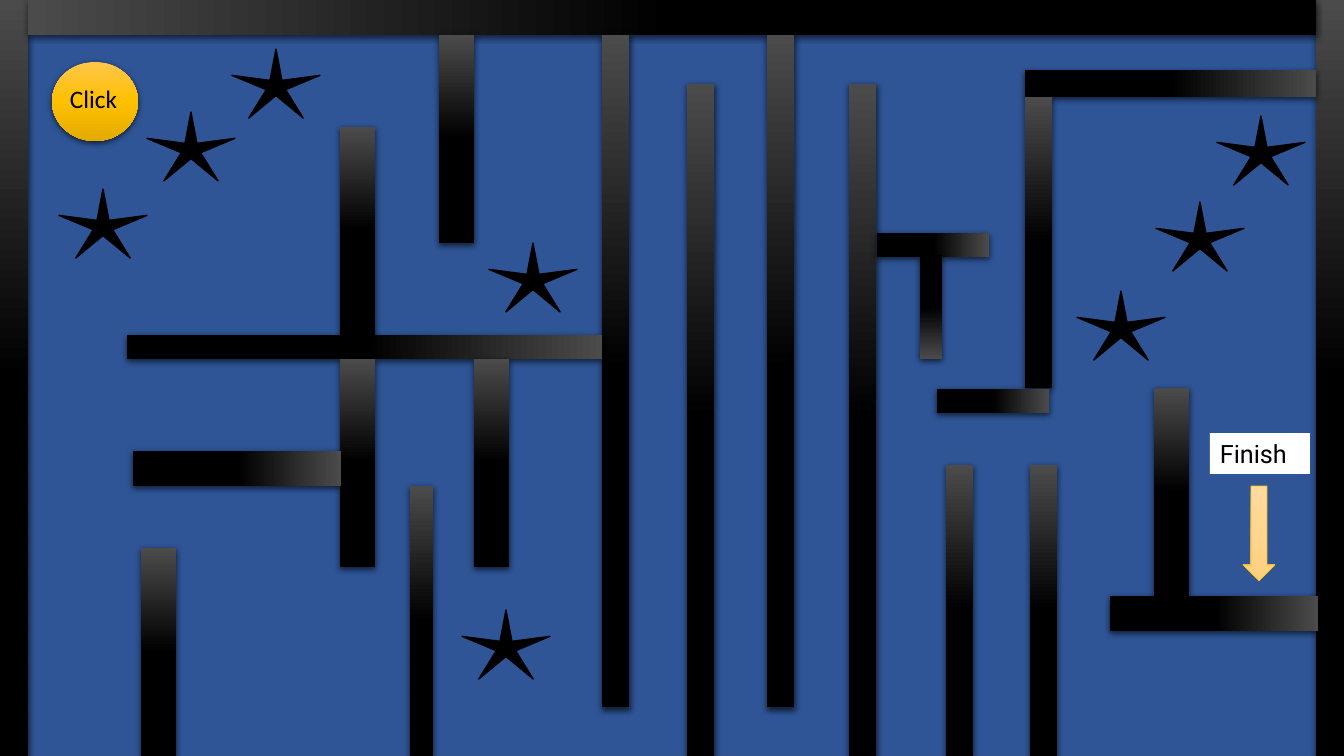
from copy import deepcopy
from typing import NamedTuple

from pptx import Presentation
from pptx import util as u
from pptx.dml.color import RGBColor
from pptx.enum import shapes, text
from pptx.oxml import parse_xml
from pptx.oxml.ns import nsdecls, qn
from pptx.shapes.autoshape import Shape

WIDE, HIGH = 1344, 756
SCALE = 12192000 / WIDE

BLACK = RGBColor(0x00, 0x00, 0x00)
WHITE = RGBColor(0xFF, 0xFF, 0xFF)
FLOOR = RGBColor(0x2F, 0x55, 0x97)
EDGE = RGBColor(0x32, 0x54, 0x91)
GOLD = RGBColor(0xFF, 0xC0, 0x00)
STONE = (RGBColor(0x4B, 0x4B, 0x4B), BLACK, BLACK)
SUN = (RGBColor(0xFF, 0xC6, 0x4B), GOLD, RGBColor(0xE3, 0xAB, 0x00))
SAND = (RGBColor(0xFF, 0xDB, 0x9E), RGBColor(0xFF, 0xD5, 0x90), RGBColor(0xFF, 0xD0, 0x7C))

SHADE = (
    f'<a:effectLst {nsdecls("a")}><a:outerShdw blurRad="57150" dist="19050" dir="5400000" '
    'algn="ctr" rotWithShape="0"><a:srgbClr val="000000"><a:alpha val="63000"/></a:srgbClr>'
    '</a:outerShdw></a:effectLst>'
)


class Box(NamedTuple):
    left: int
    top: int
    width: int
    height: int


class Wall(NamedTuple):
    box: Box
    turn: int = 0


class Label(NamedTuple):
    box: Box
    words: str
    font: str


class Point(NamedTuple):
    left: int
    top: int


LONG, MID, SHORT = (27, 672), (27, 291), (35, 208)
FLAT, STUB = SHORT[::-1], (112, 24)

WALLS = [
    Wall(Box(0, 0, 28, HIGH)),
    Wall(Box(WIDE - 28, 0, 28, HIGH)),
    Wall(Box(28, 0, WIDE - 56, 35), 270),
    Wall(Box(602, 35, *LONG)),
    Wall(Box(687, 84, *LONG)),
    Wall(Box(767, 35, *LONG)),
    Wall(Box(849, 84, *LONG)),
    Wall(Box(1025, 70, *MID[::-1]), 90),
    Wall(Box(1025, 97, *MID)),
    Wall(Box(1030, 465, *MID)),
    Wall(Box(946, 465, *MID)),
    Wall(Box(127, 335, 475, 24), 90),
    Wall(Box(340, 127, *SHORT)),
    Wall(Box(439, 35, *SHORT)),
    Wall(Box(340, 359, *SHORT)),
    Wall(Box(474, 359, *SHORT)),
    Wall(Box(141, 548, *SHORT)),
    Wall(Box(133, 451, *FLAT), 90),
    Wall(Box(410, 486, 23, 270)),
    Wall(Box(1154, 388, *SHORT)),
    Wall(Box(1110, 596, *FLAT), 90),
    Wall(Box(877, 233, *STUB), 90),
    Wall(Box(920, 255, 22, 104), 180),
    Wall(Box(937, 389, *STUB), 90),
]

STARS = [
    Point(232, 49), Point(489, 243), Point(462, 610), Point(1077, 291),
    Point(1156, 202), Point(1217, 116), Point(147, 112), Point(59, 189),
]

START = Label(Box(60, 78, 74, 40), "Click", "Calibri")
FINISH = Label(Box(1210, 433, 100, 41), "Finish", "Roboto")

deck = Presentation()
deck.slide_width = u.Emu(round(WIDE * SCALE))
deck.slide_height = u.Emu(round(HIGH * SCALE))
slide = deck.slides.add_slide(deck.slide_layouts[6])


def to_emu(box: Box) -> list[int]:
    return [u.Emu(round(side * SCALE)) for side in box]


def add_form(kind: shapes.MSO_SHAPE, box: Box) -> Shape:
    form = slide.shapes.add_shape(kind, *to_emu(box))
    form.shadow.inherit = False
    form.line.fill.background()
    return form


def fill_flat(form: Shape, color: RGBColor) -> None:
    form.fill.solid()
    form.fill.fore_color.rgb = color


def fill_fade(form: Shape, colors: tuple[RGBColor, ...]) -> None:
    form.fill.gradient()
    form.fill.gradient_angle = 270
    stops = form.element.spPr.find(".//" + qn("a:gsLst"))
    stops.insert(1, deepcopy(stops[0]))
    for stop, place, color in zip(form.fill.gradient_stops, (0, 0.5, 1), colors):
        stop.position = place
        stop.color.rgb = color


def add_edge(form: Shape, color: RGBColor, width: float) -> None:
    form.line.color.rgb = color
    form.line.width = u.Pt(width)


def add_shade(form: Shape) -> None:
    plain = form.element.spPr.find(qn("a:effectLst"))
    plain.getparent().replace(plain, parse_xml(SHADE))


def draw_wall(wall: Wall) -> None:
    left, top, width, height = wall.box
    if wall.turn in (90, 270):
        shift = (width - height) / 2
        left, top, width, height = left + shift, top - shift, height, width
    form = add_form(shapes.MSO_SHAPE.RECTANGLE, Box(left, top, width, height))
    form.rotation = wall.turn
    fill_fade(form, STONE)
    add_shade(form)


def draw_star(point: Point) -> None:
    form = add_form(shapes.MSO_SHAPE.STAR_5_POINT, Box(*point, 88, 69))
    form.adjustments[0] = 0.11
    fill_flat(form, BLACK)
    add_edge(form, BLACK, 1)


def draw_label(label: Label) -> Shape:
    form = slide.shapes.add_textbox(*to_emu(label.box))
    frame = form.text_frame
    frame.word_wrap = True
    frame.auto_size = text.MSO_AUTO_SIZE.SHAPE_TO_FIT_TEXT
    line = frame.paragraphs[0]
    line.text = label.words
    line.font.name = label.font
    line.font.size = u.Pt(18)
    line.font.color.rgb = BLACK
    return form


floor = add_form(shapes.MSO_SHAPE.RECTANGLE, Box(0, 0, WIDE, HIGH))
fill_flat(floor, FLOOR)
add_edge(floor, EDGE, 1)

for wall in WALLS:
    draw_wall(wall)
for star in STARS:
    draw_star(star)

disc = add_form(shapes.MSO_SHAPE.OVAL, Box(52, 62, 86, 79))
fill_fade(disc, SUN)
add_shade(disc)
draw_label(START)

arrow = add_form(shapes.MSO_SHAPE.DOWN_ARROW, Box(1243, 486, 32, 95))
fill_fade(arrow, SAND)
add_edge(arrow, GOLD, 0.5)
fill_flat(draw_label(FINISH), WHITE)

deck.save("out.pptx")
